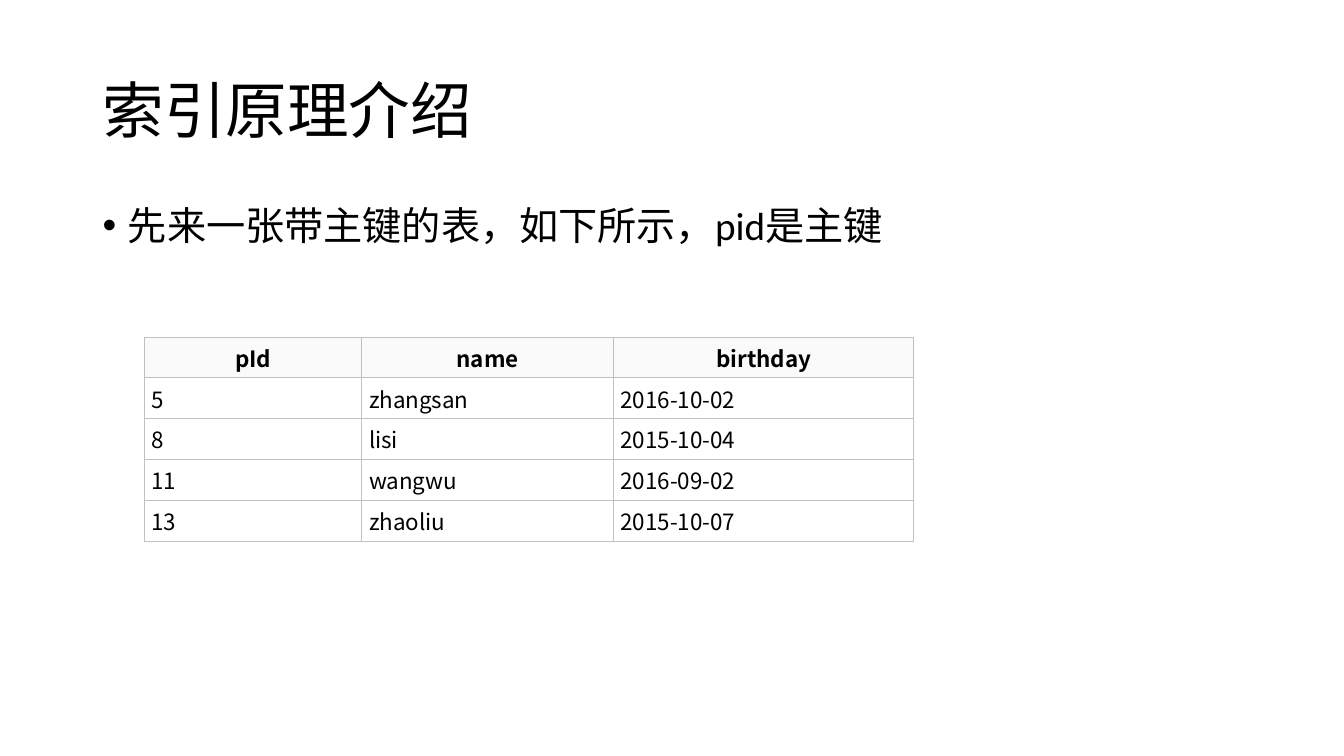
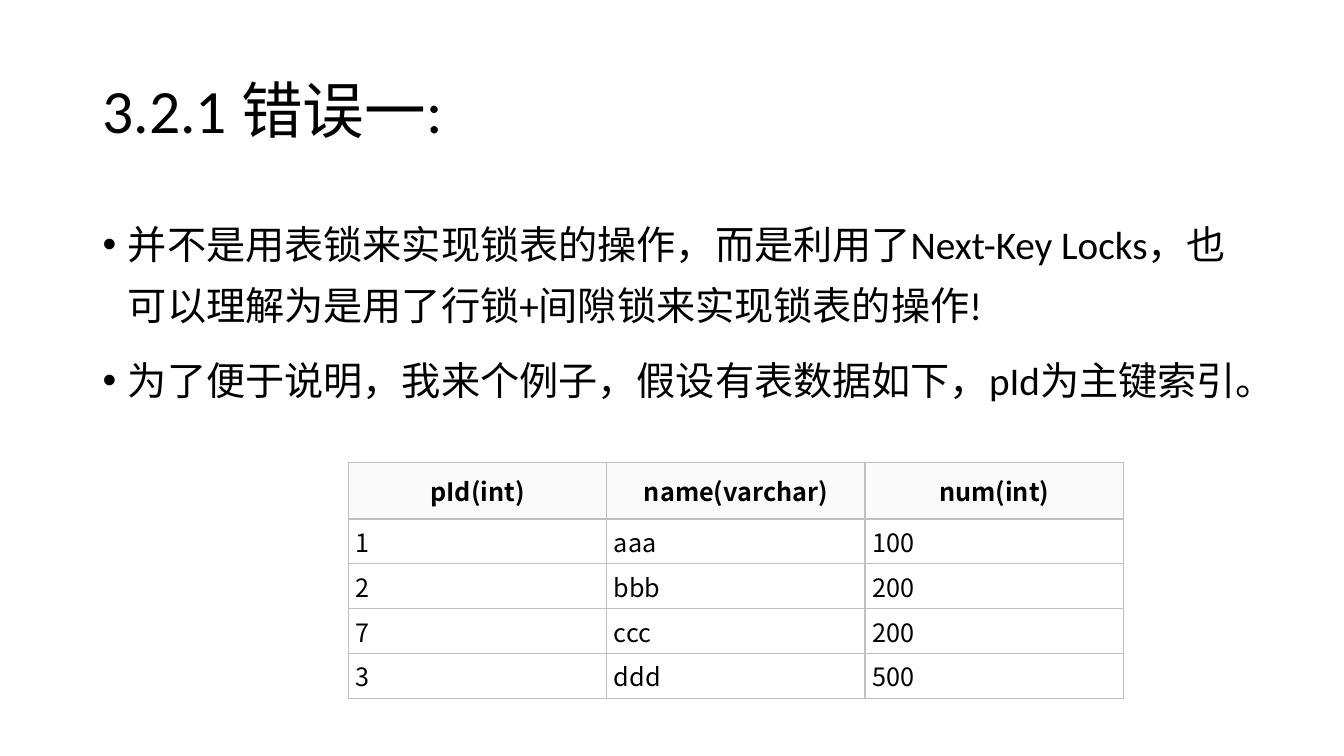
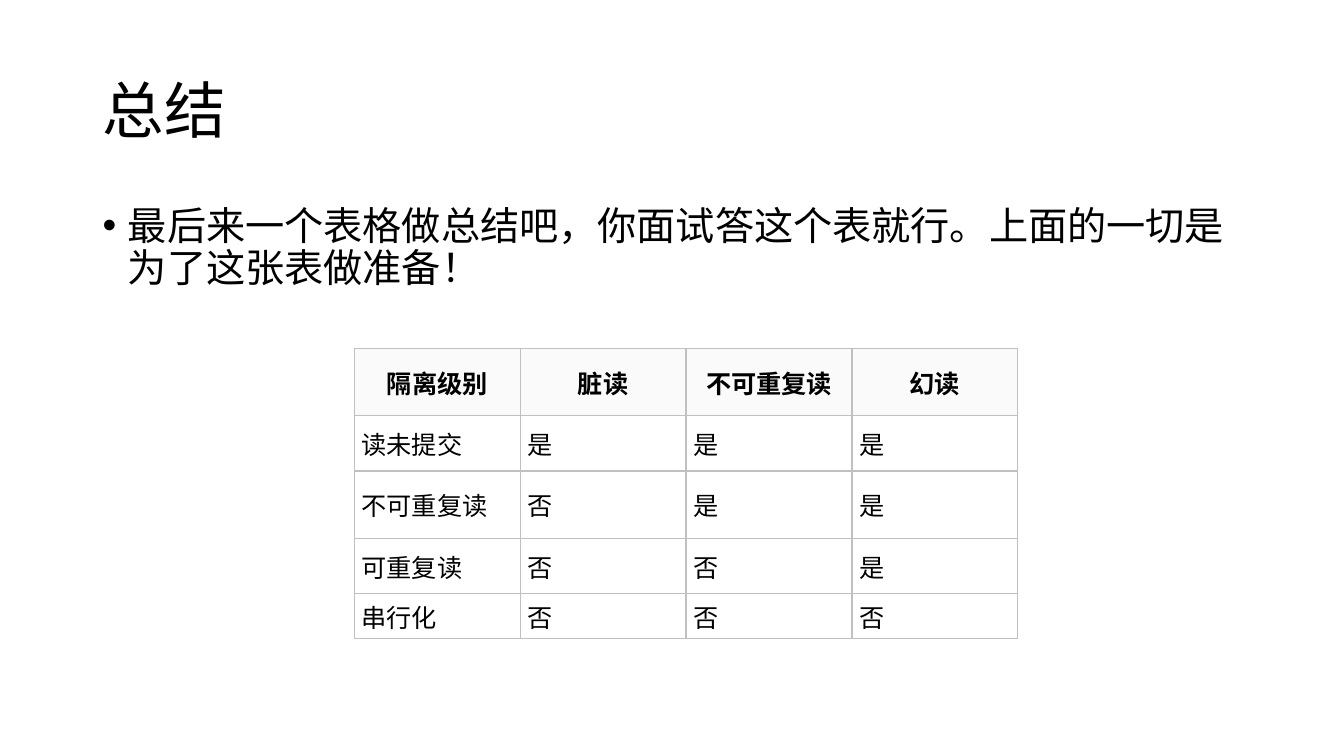
import pptx
import pptx.util
import pptx.dml.color
import pptx.enum.text
import pptx.oxml.ns
import lxml.etree

Cm = pptx.util.Cm
Pt = pptx.util.Pt
qn = pptx.oxml.ns.qn
ALIGN = pptx.enum.text.PP_ALIGN
MID = pptx.enum.text.MSO_ANCHOR.MIDDLE

HUES = {"text": "000000", "head": "FAFAFA", "rule": "C0C0C0", "back": "FFFFFF"}
LATIN = "Calibri"
HAN = "Noto Sans CJK SC"
TITLE = (2.33, 1.01, 29.21, 3.68)
BODY = (2.33, 5.07, 29.21, 12.09)
PAD = (0.18, 0.1)

PAGES = [
    {
        "title": "索引原理介绍",
        "list": ["先来一张带主键的表，如下所示，pid是主键"],
        "lead": 0.9,
        "at": (3.64, 8.5),
        "cols": [5.48, 6.34, 7.57],
        "rows": [1.02] + [1.03] * 4,
        "size": 16,
        "cells": [
            ["pId", "name", "birthday"],
            ["5", "zhangsan", "2016-10-02"],
            ["8", "lisi", "2015-10-04"],
            ["11", "wangwu", "2016-09-02"],
            ["13", "zhaoliu", "2015-10-07"],
        ],
    },
    {
        "title": "3.2.1 错误一:",
        "list": [
            "并不是用表锁来实现锁表的操作，而是利用了Next-Key Locks，"
            "也可以理解为是用了行锁+间隙锁来实现锁表的操作!",
            "为了便于说明，我来个例子，假设有表数据如下，pId为主键索引。",
        ],
        "lead": 1.3,
        "at": (8.78, 11.65),
        "cols": [6.51] * 3,
        "rows": [1.43] + [1.13] * 4,
        "size": 18,
        "cells": [
            ["pId(int)", "name(varchar)", "num(int)"],
            ["1", "aaa", "100"],
            ["2", "bbb", "200"],
            ["7", "ccc", "200"],
            ["3", "ddd", "500"],
        ],
    },
    {
        "title": "总结",
        "list": ["最后来一个表格做总结吧，你面试答这个表就行。"
                 "上面的一切是为了这张表做准备！"],
        "lead": 0.9,
        "at": (8.93, 8.78),
        "cols": [4.18] * 4,
        "rows": [1.7, 1.39, 1.7, 1.39, 1.13],
        "size": 18,
        "cells": [
            ["隔离级别", "脏读", "不可重复读", "幻读"],
            ["读未提交", "是", "是", "是"],
            ["不可重复读", "否", "是", "是"],
            ["可重复读", "否", "否", "是"],
            ["串行化", "否", "否", "否"],
        ],
    },
]


def hue(key):
    return pptx.dml.color.RGBColor.from_string(HUES[key])


def style(para, size, face, bold=False):
    font = para.font
    font.size = Pt(size)
    font.bold = bold
    font.color.rgb = hue("text")
    font.name = face
    props = para._p.get_or_add_pPr().find(qn("a:defRPr"))
    lxml.etree.SubElement(props, qn("a:ea")).set("typeface", HAN)


def place(shape, box):
    shape.left, shape.top, shape.width, shape.height = map(Cm, box)
    shape.text_frame.word_wrap = True
    shape.text_frame.auto_size = pptx.enum.text.MSO_AUTO_SIZE.NONE


def add_title(slide, box, text):
    shape = slide.shapes.title
    place(shape, box)
    shape.text_frame.text = text
    shape.text_frame.vertical_anchor = MID
    para = shape.text_frame.paragraphs[0]
    para.alignment = ALIGN.LEFT
    para.line_spacing = 0.9
    style(para, 44, LATIN)


def add_list(slide, box, items, lead):
    shape = slide.placeholders[1]
    place(shape, box)
    shape.text_frame.text = "\n".join(items)
    for rank, para in enumerate(shape.text_frame.paragraphs):
        para.line_spacing = lead
        para.space_before = Pt(10 if rank else 0)
        props = para._p.get_or_add_pPr()
        props.set("marL", str(Cm(0.64)))
        props.set("indent", str(-Cm(0.64)))
        face = lxml.etree.SubElement(props, qn("a:buFont"))
        face.set("typeface", "Arial")
        lxml.etree.SubElement(props, qn("a:buChar")).set("char", "•")
        style(para, 28, LATIN)


def add_rules(cell):
    props = cell._tc.get_or_add_tcPr()
    for side in ("lnL", "lnR", "lnT", "lnB"):
        line = lxml.etree.SubElement(props, qn("a:" + side))
        line.set("w", str(Pt(1)))
        fill = lxml.etree.SubElement(line, qn("a:solidFill"))
        lxml.etree.SubElement(fill, qn("a:srgbClr")).set("val", HUES["rule"])


def fill_cell(cell, text, size, head):
    add_rules(cell)
    if head:
        cell.fill.solid()
        cell.fill.fore_color.rgb = hue("head")
    else:
        cell.fill.background()
    cell.margin_left = cell.margin_right = Cm(PAD[0])
    cell.margin_top = cell.margin_bottom = Cm(PAD[1])
    cell.vertical_anchor = MID
    cell.text = text
    para = cell.text_frame.paragraphs[0]
    para.alignment = ALIGN.CENTER if head else ALIGN.LEFT
    style(para, size, HAN, head)


def add_grid(slide, spot, cols, rows, cells, size):
    box = (*spot, sum(cols), sum(rows))
    table = slide.shapes.add_table(len(rows), len(cols), *map(Cm, box)).table
    table.first_row = table.horz_banding = False
    for col, width in zip(table.columns, cols):
        col.width = Cm(width)
    for row, height, texts in zip(table.rows, rows, cells):
        row.height = Cm(height)
        for cell, text in zip(row.cells, texts):
            fill_cell(cell, text, size, texts is cells[0])


def add_page(deck, page):
    slide = deck.slides.add_slide(deck.slide_layouts[1])
    add_title(slide, TITLE, page["title"])
    add_list(slide, BODY, page["list"], page["lead"])
    add_grid(slide, page["at"], page["cols"], page["rows"],
             page["cells"], page["size"])


def main():
    deck = pptx.Presentation()
    deck.slide_width, deck.slide_height = Cm(33.87), Cm(19.05)
    back = deck.slide_master.background.fill
    back.solid()
    back.fore_color.rgb = hue("back")
    for page in PAGES:
        add_page(deck, page)
    deck.save("out.pptx")


if __name__ == "__main__":
    main()
